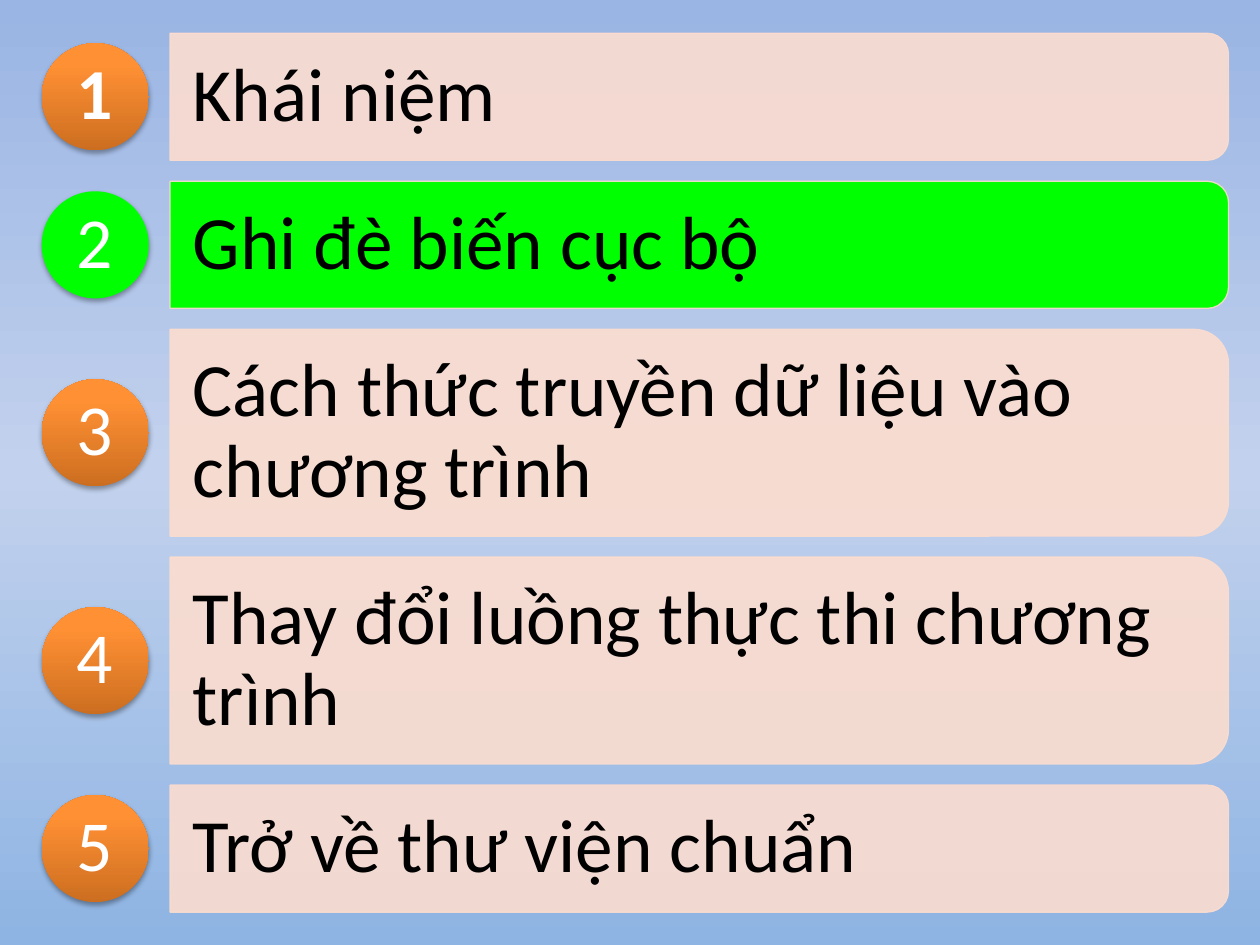
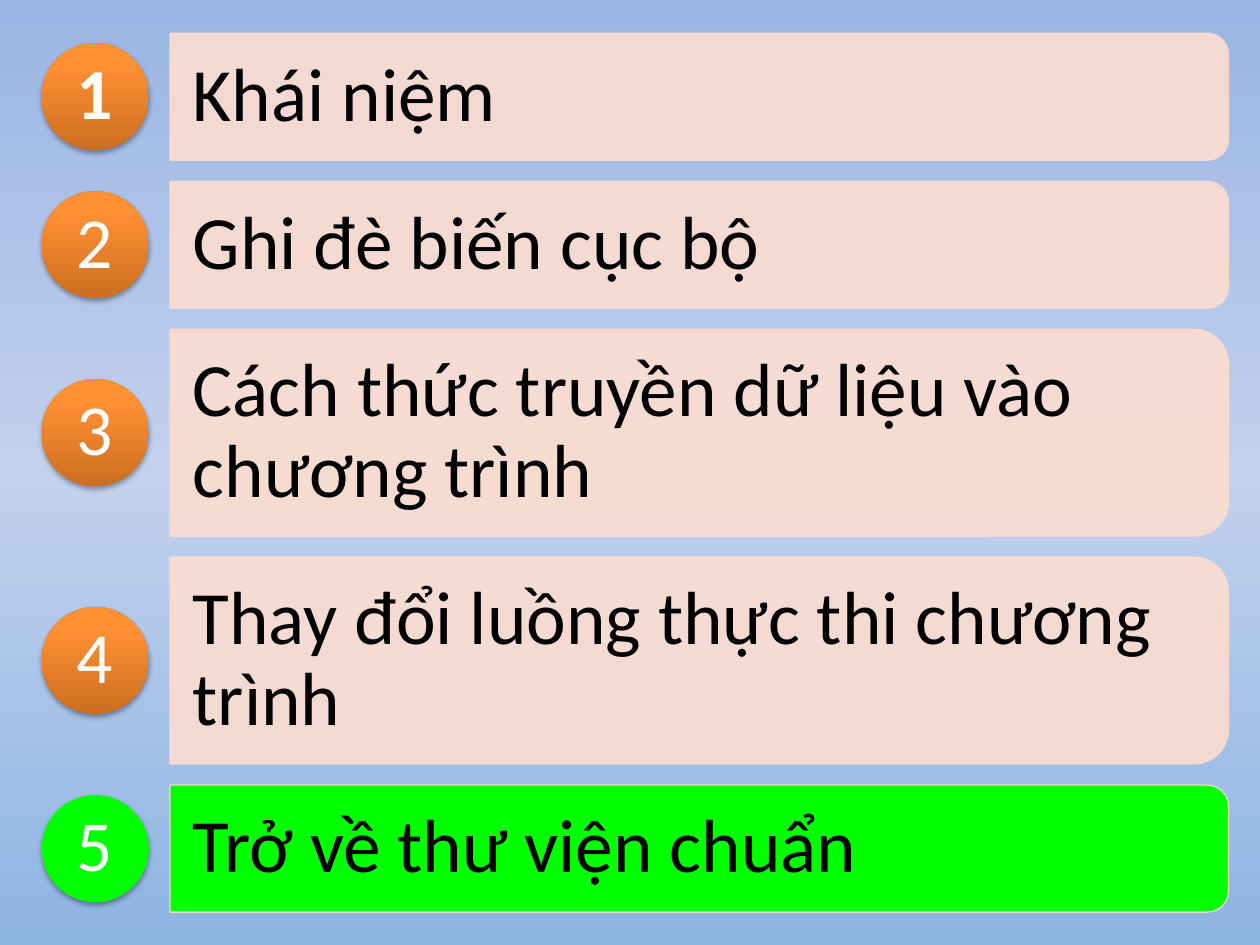
from pptx import Presentation
from pptx.dml.color import RGBColor
from pptx.enum.shapes import MSO_SHAPE
from pptx.enum.text import MSO_ANCHOR, PP_ALIGN
from pptx.oxml.ns import qn
from pptx.util import Pt
from lxml import etree

BAR_SHAPE = MSO_SHAPE.ROUND_2_SAME_RECTANGLE
CIRCLE_SHAPE = MSO_SHAPE.OVAL
MIDDLE = MSO_ANCHOR.MIDDLE
LEFT, CENTER = PP_ALIGN.LEFT, PP_ALIGN.CENTER

# Shared look
FONT = "Calibri"
PEACH, GREEN, WHITE, BLACK = "FCDDCF", "00FF00", "FFFFFF", "000000"
BACKGROUND_STOPS = [(0, "9AB5E4"), (50, "C2D1ED"), (100, "8EB4E3")]
ORANGE_STOPS = [(0, "CC6E20"), (80, "FF9034"), (100, "FF9136")]

# Agenda layout, in points
TOP, GAP = 19, 12
BAR_LEFT, BAR_WIDTH = 97.2, 604.8
LINE_HEIGHTS = {1: 72.6, 2: 118.2}
CIRCLE_LEFT, CIRCLE_SIZE = 23.8, 61.2
CORNER_INSET = 0.29 / 6  # text margin caused by the rounded corners

# Topic and the number of text lines it takes
TOPICS = [
    ("Khái niệm", 1),
    ("Ghi đè biến cục bộ", 1),
    ("Cách thức truyền dữ liệu vào chương trình", 2),
    ("Thay đổi luồng thực thi chương trình", 2),
    ("Trở về thư viện chuẩn", 1),
]
CURRENT_TOPICS = [2, 5]  # highlighted topic of each slide


def color(value):
    return RGBColor.from_string(value)


def set_all(target, values):
    for name, value in values.items():
        setattr(target, name, value)


def add_node(parent, tag, **attributes):
    node = etree.SubElement(parent, qn(tag))
    for name, value in attributes.items():
        node.set(name, str(value))
    return node


def set_gradient(fill, element, stops, angle):
    fill.gradient()
    fill.gradient_angle = angle
    stop_list = next(element.iter(qn("a:gsLst")))
    for stop in list(stop_list):
        stop_list.remove(stop)
    for percent, value in stops:
        stop = add_node(stop_list, "a:gs", pos=percent * 1000)
        add_node(stop, "a:srgbClr", val=value)


def set_solid(fill, value):
    fill.solid()
    fill.fore_color.rgb = color(value)


def set_opacity(parent, percent):
    for node in parent.findall(qn("a:solidFill") + "/" + qn("a:srgbClr")):
        add_node(node, "a:alpha", val=percent * 1000)


def add_shadow(shape):
    effects = shape.element.spPr.find(qn("a:effectLst"))
    shadow = add_node(effects, "a:outerShdw", blurRad=Pt(3.1), dist=Pt(1.8),
                      dir=90 * 60000, rotWithShape=0)
    black = add_node(shadow, "a:srgbClr", val=BLACK)
    add_node(black, "a:alpha", val=35000)


def write_text(shape, text, side, end, align, **font_values):
    frame = shape.text_frame
    set_all(frame, dict(word_wrap=True, vertical_anchor=MIDDLE,
                        margin_left=Pt(side), margin_right=Pt(side),
                        margin_top=Pt(end), margin_bottom=Pt(end)))
    para = frame.paragraphs[0]
    set_all(para, dict(alignment=align, line_spacing=0.9))
    span = para.add_run()
    span.text = text
    font_color = font_values.pop("color")
    set_all(span.font, dict(name=FONT, **font_values))
    span.font.color.rgb = color(font_color)


def add_bar(page, middle, height, current):
    # The bar stands upright and is turned so that its round corners face right
    center = BAR_LEFT + BAR_WIDTH / 2
    bar = page.shapes.add_shape(BAR_SHAPE, Pt(center - height / 2),
                                Pt(middle - BAR_WIDTH / 2), Pt(height), Pt(BAR_WIDTH))
    bar.rotation = 90
    bar.shadow.inherit = False
    set_solid(bar.fill, GREEN if current else PEACH)
    set_solid(bar.line.fill, PEACH)
    bar.line.width = Pt(0.75)
    properties = bar.element.spPr
    if not current:
        set_opacity(properties, 90)
    set_opacity(properties.find(qn("a:ln")), 90)


def add_topic(page, middle, height, topic):
    inset = height * CORNER_INSET
    box_height = height - 2 * inset
    box = page.shapes.add_textbox(Pt(BAR_LEFT), Pt(middle - box_height / 2),
                                  Pt(BAR_WIDTH - inset), Pt(box_height))
    write_text(box, topic, 13, 8.6, LEFT, size=Pt(43), color=BLACK)


def add_number(page, middle, number, current):
    circle = page.shapes.add_shape(CIRCLE_SHAPE, Pt(CIRCLE_LEFT),
                                   Pt(middle - CIRCLE_SIZE / 2),
                                   Pt(CIRCLE_SIZE), Pt(CIRCLE_SIZE))
    circle.shadow.inherit = False
    if current:
        set_solid(circle.fill, GREEN)
    else:
        set_gradient(circle.fill, circle.element, ORANGE_STOPS, 90)
    circle.line.fill.background()
    add_shadow(circle)
    write_text(circle, str(number), 0, 0, CENTER,
               size=Pt(41), color=WHITE, bold=number == 1)


def add_agenda(deck, current_topic):
    page = deck.slides.add_slide(deck.slide_layouts.get_by_name("Blank"))
    top = TOP
    for number, (topic, lines) in enumerate(TOPICS, start=1):
        height = LINE_HEIGHTS[lines]
        middle = top + height / 2
        current = number == current_topic
        add_bar(page, middle, height, current)
        add_topic(page, middle, height, topic)
        add_number(page, middle, number, current)
        top += height + GAP


def main():
    deck = Presentation()
    set_all(deck, dict(slide_width=Pt(720), slide_height=Pt(540)))
    master = deck.slide_master
    set_gradient(master.background.fill, master.element, BACKGROUND_STOPS, 270)
    for current_topic in CURRENT_TOPICS:
        add_agenda(deck, current_topic)
    deck.save("out.pptx")


if __name__ == "__main__":
    main()
